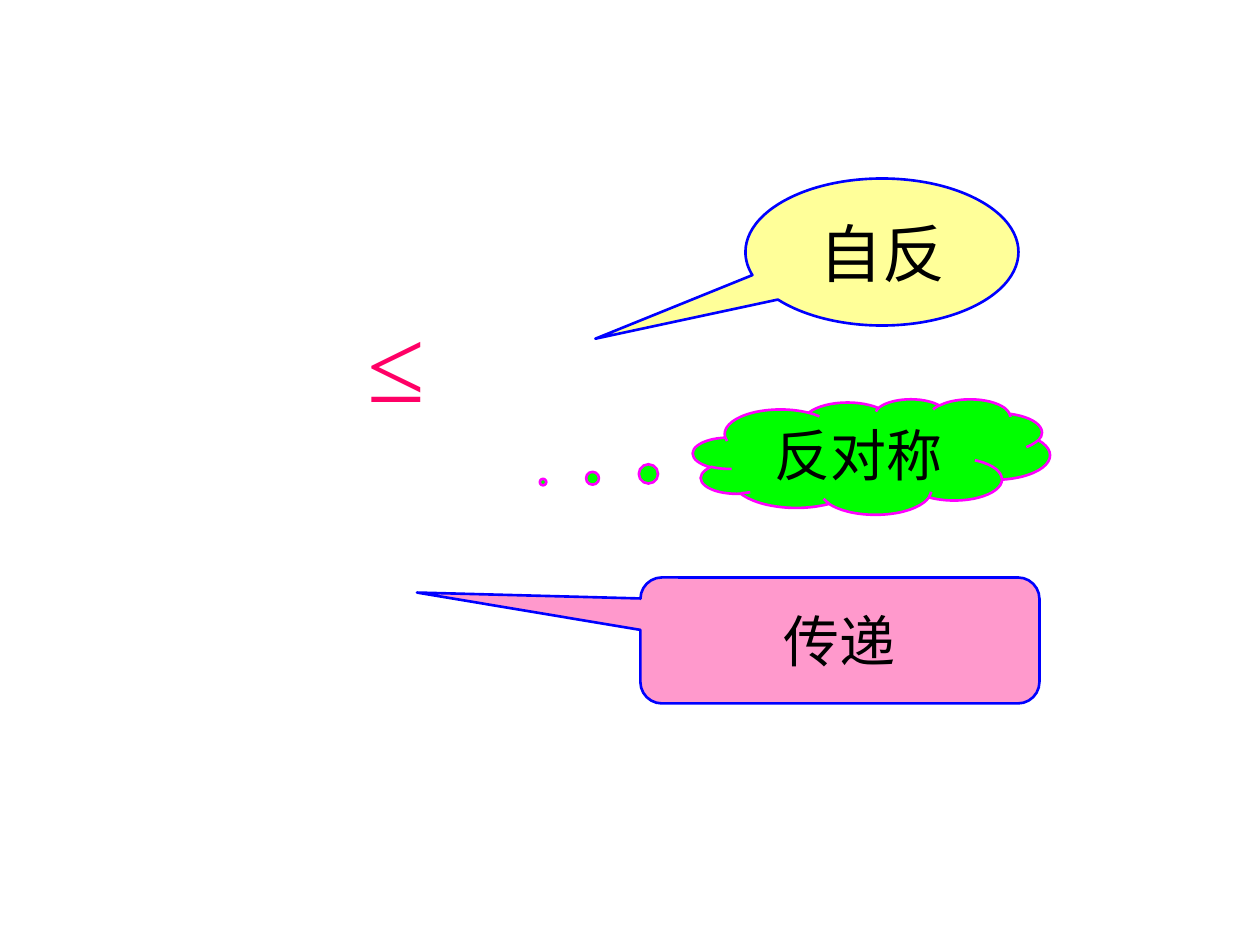
"""Build a slide on the three properties of a partial order."""
import pptx
import pptx.util
import pptx.dml.color
import pptx.enum.shapes
import pptx.enum.text

WIDE, HIGH = pptx.util.Inches(10), pptx.util.Inches(7.5)
KIND = pptx.enum.shapes.MSO_SHAPE
COLORS = {
    "sign": "FF0066", "ink": "000000", "blue": "0000FF", "pink": "FF00FF",
    "yellow": "FFFF99", "green": "00FF00", "rose": "FF99CC",
}


def color(name):
    """Return the named colour."""
    return pptx.dml.color.RGBColor.from_string(COLORS[name])


def place(box):
    """Turn percent shares of the slide into lengths."""
    return [int(part * side / 100) for part, side in zip(box, (WIDE, HIGH) * 2)]


def write(frame, text, size, face, ink):
    """Put one styled line in a text frame."""
    frame.text = text
    frame.word_wrap = True
    font = frame.paragraphs[0].runs[0].font
    font.size = pptx.util.Pt(size)
    font.name = face
    font.color.rgb = color(ink)


def add_sign(slide, box):
    """Add the order sign."""
    frame = slide.shapes.add_textbox(*place(box)).text_frame
    write(frame, "≤", 60, "Times New Roman", "sign")


def add_callout(slide, box, kind, tail, fill, line, text, size):
    """Add a callout that names one property, its tail set by shares of the box."""
    shape = slide.shapes.add_shape(kind, *place(box))
    shape.shadow.inherit = False
    for index, value in enumerate(tail):
        shape.adjustments[index] = value
    shape.fill.solid()
    shape.fill.fore_color.rgb = color(fill)
    shape.line.color.rgb = color(line)
    shape.line.width = pptx.util.Pt(1.5)
    frame = shape.text_frame
    write(frame, text, size, "Arial", "ink")
    frame.vertical_anchor = pptx.enum.text.MSO_ANCHOR.MIDDLE
    frame.paragraphs[0].alignment = pptx.enum.text.PP_ALIGN.CENTER


def main():
    """Build and save the slide."""
    deck = pptx.Presentation()
    deck.slide_width, deck.slide_height = WIDE, HIGH
    slide = deck.slides.add_slide(deck.slide_layouts[6])
    add_sign(slide, (28.2, 30.8, 22.7, 21.33))
    calls = [
        ((59.17, 18.89, 21.67, 15.56), KIND.OVAL_CALLOUT, (-1.05, 0.59),
         "yellow", "blue", "自反", 36),
        ((55, 42.22, 28.33, 12.22), KIND.CLOUD_CALLOUT, (-0.92, 0.22),
         "green", "pink", "反对称", 32),
        ((50.83, 61.11, 31.67, 13.33), KIND.ROUNDED_RECTANGULAR_CALLOUT,
         (-1.06, -0.38, 0.17), "rose", "blue", "传递", 32),
    ]
    for call in calls:
        add_callout(slide, *call)
    deck.save("out.pptx")


if __name__ == "__main__":
    main()
